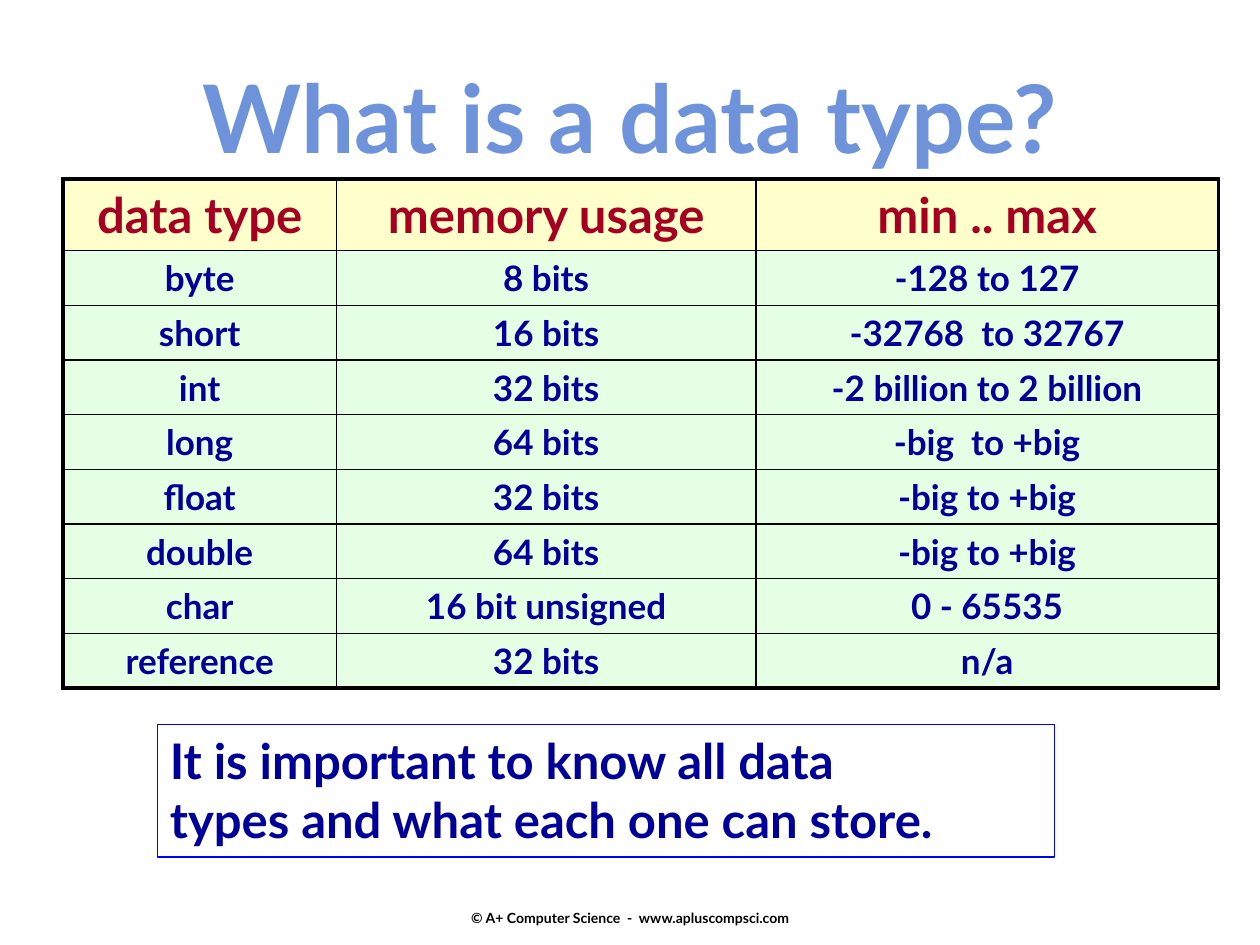
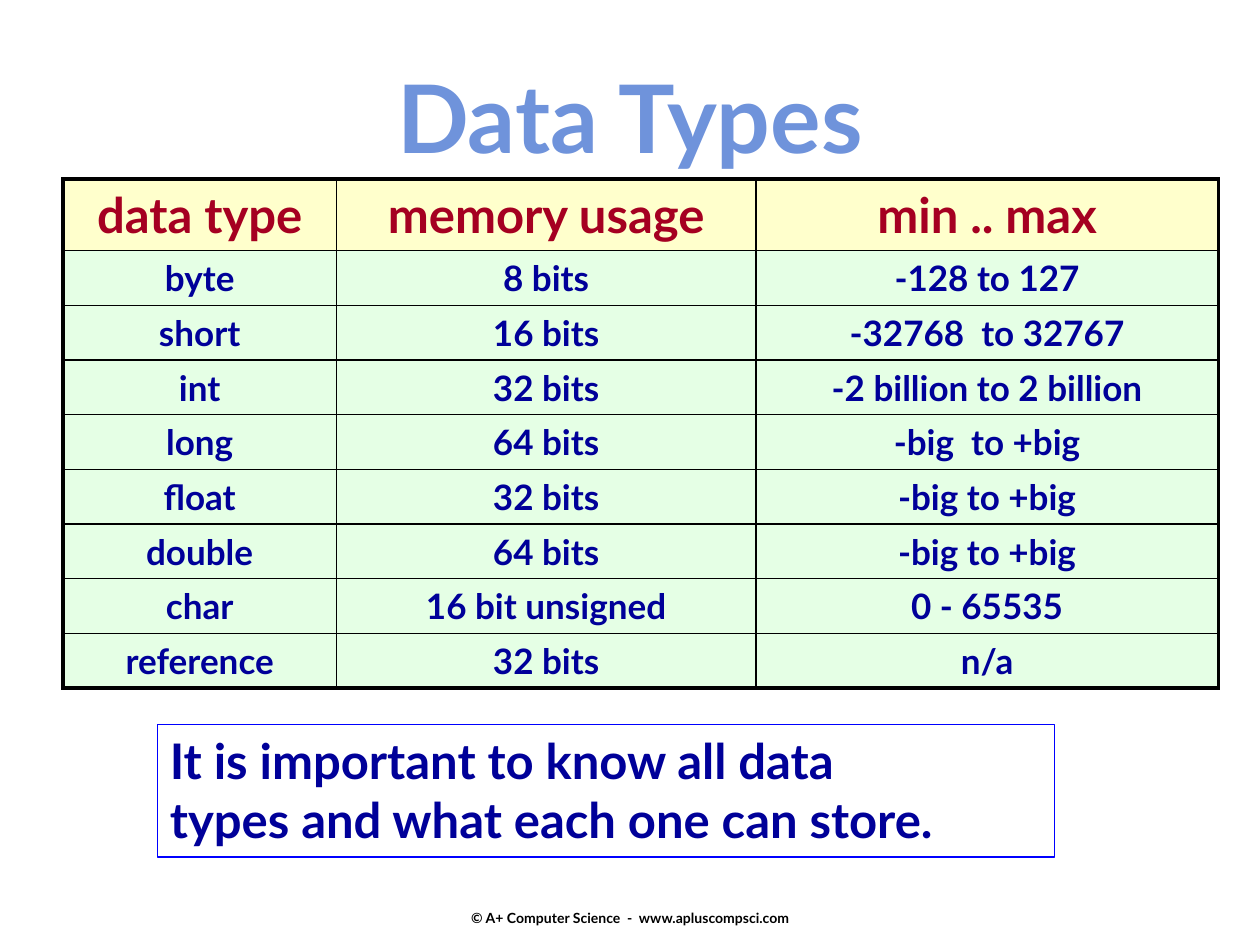
import pptx
import pptx.util
import pptx.dml.color
import pptx.enum.shapes
import pptx.enum.text
import pptx.oxml.ns
import lxml.etree
from dataclasses import dataclass

Inches = pptx.util.Inches
Pt = pptx.util.Pt
RGB = pptx.dml.color.RGBColor.from_string
Align = pptx.enum.text.PP_ALIGN
Anchor = pptx.enum.text.MSO_ANCHOR
qn = pptx.oxml.ns.qn


@dataclass(frozen=True)
class Theme:
    font: str = "Lato"
    title: str = "6F93DB"
    title_outline: str = "1414EB"
    heading: str = "A50021"
    body: str = "000099"
    black: str = "000000"
    heading_fill: str = "FFFFCC"
    body_fill: str = "CCFFCC"
    callout_line: str = "0000FF"
    title_size: int = 54
    large_size: int = 28
    body_size: int = 20
    footer_size: int = 8
    outer_border: float = 2.25
    inner_border: float = 1


theme = Theme()

titles = ["What is a data type?", "Data Types"]
data_types = [
    ("data type", "memory usage", "min .. max"),
    ("byte", "8 bits", "-128 to 127"),
    ("short", "16 bits", "-32768  to 32767"),
    ("int", "32 bits", "-2 billion to 2 billion"),
    ("long", "64 bits", "-big  to +big"),
    ("float", "32 bits", "-big to +big"),
    ("double", "64 bits", "-big to +big"),
    ("char", "16 bit unsigned", "0 - 65535"),
    ("reference", "32 bits", "n/a"),
]
column_widths = [2.17, 3.33, 3.67]
heading_height, body_height = 0.57, 0.43


def write(frame, text, size, color, align):
    frame.text = text
    for paragraph in frame.paragraphs:
        paragraph.alignment = align
        for run in paragraph.runs:
            run.font.name = theme.font
            run.font.size = Pt(size)
            run.font.bold = True
            run.font.color.rgb = RGB(color)


def add_line(parent, position, tag, width, color):
    line = lxml.etree.Element(qn(tag), w=str(Pt(width)))
    fill = lxml.etree.SubElement(line, qn("a:solidFill"))
    lxml.etree.SubElement(fill, qn("a:srgbClr"), val=color)
    parent.insert(position, line)


deck = pptx.Presentation()
deck.slide_width = Inches(10)
deck.slide_height = Inches(7.5)

for title_text in titles:
    slide = deck.slides.add_slide(deck.slide_layouts[6])

    footer = slide.shapes.add_textbox(Inches(3.42), Inches(6.85), Inches(3.17), Inches(0.5)).text_frame
    footer.word_wrap = False
    footer.vertical_anchor = Anchor.BOTTOM
    footer.margin_bottom = 0
    write(footer, "© A+ Computer Science  -  www.apluscompsci.com",
          theme.footer_size, theme.black, Align.CENTER)

    type_table = slide.shapes.add_table(
        len(data_types), len(column_widths), Inches(0.5), Inches(1.42),
        Inches(sum(column_widths)), Inches(heading_height + body_height * (len(data_types) - 1))).table
    type_table.horz_banding = False
    for column, width in zip(type_table.columns, column_widths):
        column.width = Inches(width)

    last_row, last_column = len(data_types) - 1, len(column_widths) - 1
    for r, values in enumerate(data_types):
        is_heading = r == 0
        type_table.rows[r].height = Inches(heading_height if is_heading else body_height)
        for c, value in enumerate(values):
            cell = type_table.cell(r, c)
            write(cell.text_frame, value,
                  theme.large_size if is_heading else theme.body_size,
                  theme.heading if is_heading else theme.body, Align.CENTER)
            cell.fill.solid()
            cell.fill.fore_color.rgb = RGB(theme.heading_fill if is_heading else theme.body_fill)
            properties = cell._tc.get_or_add_tcPr()
            if not is_heading:
                tint = properties.find(".//" + qn("a:srgbClr"))
                lxml.etree.SubElement(tint, qn("a:alpha"), val="50000")
            edges = [("a:lnL", c == 0), ("a:lnR", c == last_column),
                     ("a:lnT", r == 0), ("a:lnB", r == last_row)]
            for position, (tag, is_outer) in enumerate(edges):
                add_line(properties, position, tag,
                         theme.outer_border if is_outer else theme.inner_border, theme.black)

    callout = slide.shapes.add_shape(
        pptx.enum.shapes.MSO_SHAPE.RECTANGLE, Inches(1.25), Inches(5.75), Inches(7.12), Inches(1.05))
    callout.shadow.inherit = False
    callout.fill.background()
    callout.line.color.rgb = RGB(theme.callout_line)
    callout.line.width = Pt(1)
    callout.text_frame.word_wrap = True
    callout.text_frame.vertical_anchor = Anchor.TOP
    write(callout.text_frame, "It is important to know all data\ntypes and what each one can store.",
          theme.large_size, theme.body, Align.LEFT)

    title = slide.shapes.add_textbox(0, Inches(0.42), Inches(10), Inches(1.01)).text_frame
    title.word_wrap = True
    write(title, title_text, theme.title_size, theme.title, Align.CENTER)
    add_line(title.paragraphs[0].runs[0]._r.get_or_add_rPr(), 0, "a:ln", 1.42, theme.title_outline)

deck.save("out.pptx")
